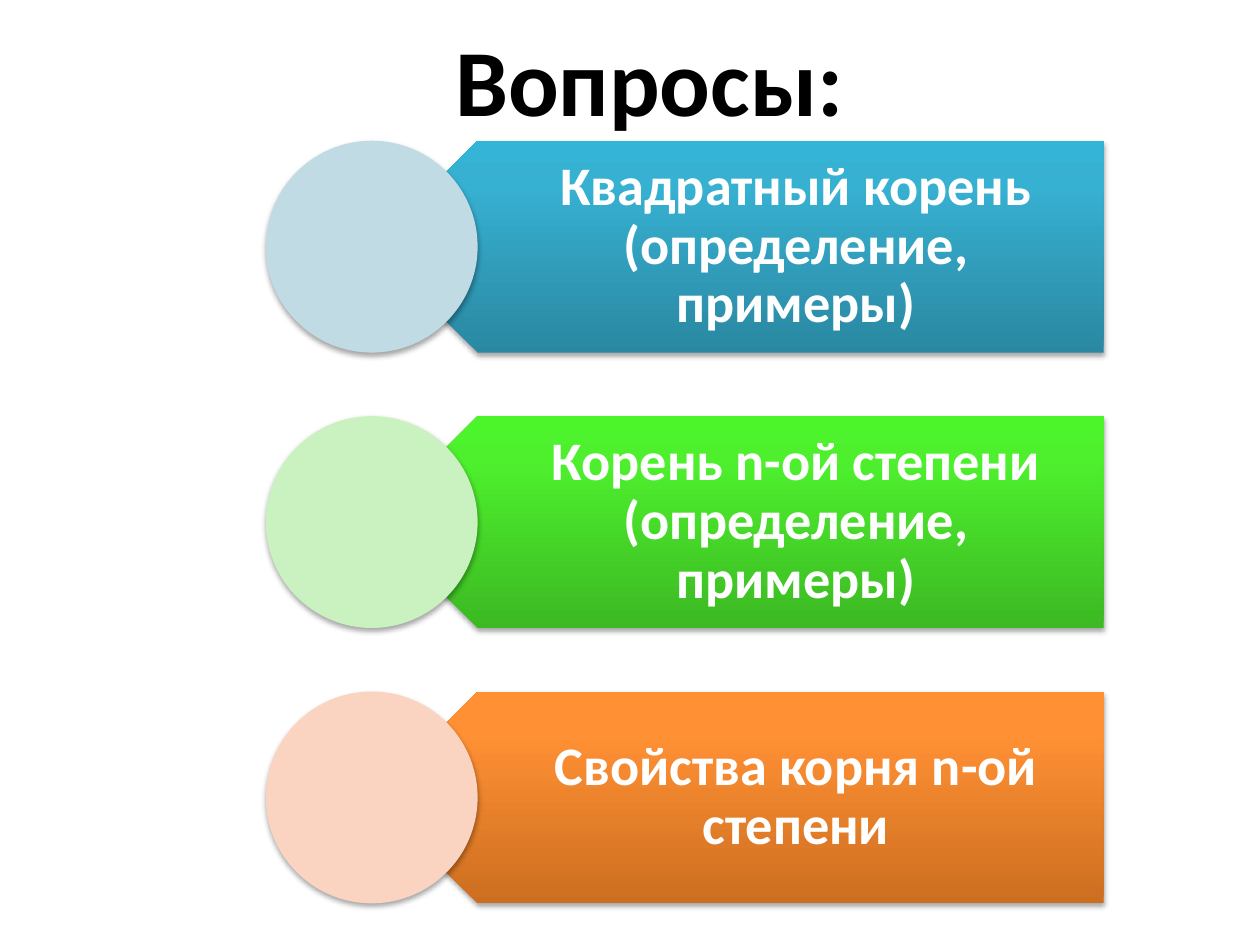
import pptx
import pptx.util
import pptx.oxml
import pptx.oxml.ns
import pptx.dml.color
import pptx.enum.shapes
import pptx.enum.text

WIDE, HIGH = 10, 7.5
FONT = "Calibri"
KIND = pptx.enum.shapes.MSO_SHAPE
NS = pptx.oxml.ns.nsdecls("a")
INCH = pptx.util.Inches

COLORS = {
    "title": "000000", "text": "FFFFFF", "shade": "000000",
    "blue low": "2A88A2", "blue mid": "37B1D2", "blue top": "34B4D6", "blue pale": "C1DBE5",
    "green low": "3CB923", "green mid": "4EF02E", "green top": "4CF52A", "green pale": "CAF1C0",
    "orange low": "CC6E20", "orange mid": "FF9034", "orange top": "FF9136", "orange pale": "FBD3C1",
}
ITEMS = [
    ("Квадратный корень (определение, примеры)", "blue"),
    ("Корень n-ой степени (определение, примеры)", "green"),
    ("Свойства корня n-ой степени", "orange"),
]


def paint(name):
    return pptx.dml.color.RGBColor.from_string(COLORS[name])


def write(parent, box, text, size, color, pad=None, space=1.0, after=0, anchor="TOP"):
    """Place a centred bold text in a box of left, top, width, height."""
    frame = parent.shapes.add_textbox(*map(INCH, box)).text_frame
    frame.word_wrap = True
    frame.vertical_anchor = getattr(pptx.enum.text.MSO_ANCHOR, anchor)
    if pad:
        (frame.margin_left, frame.margin_top,
         frame.margin_right, frame.margin_bottom) = map(INCH, pad)
    para = frame.paragraphs[0]
    para.alignment = pptx.enum.text.PP_ALIGN.CENTER
    para.line_spacing = space
    para.space_after = pptx.util.Pt(after)
    run = para.add_run()
    run.text = text
    run.font.name, run.font.size, run.font.bold = FONT, pptx.util.Pt(size), True
    run.font.color.rgb = paint(color)
    return frame


def draw(parent, kind, box):
    """Add an outline-free shape with a soft shadow below it."""
    shape = parent.shapes.add_shape(kind, *map(INCH, box))
    shape.line.fill.background()
    shape.shadow.inherit = False
    effect = shape._element.spPr.find(pptx.oxml.ns.qn("a:effectLst"))
    effect.append(pptx.oxml.parse_xml(
        f'<a:outerShdw {NS} blurRad="{pptx.util.Pt(3.1)}" dist="{pptx.util.Pt(1.8)}" '
        f'dir="5400000" rotWithShape="0"><a:srgbClr val="{COLORS["shade"]}">'
        '<a:alpha val="35000"/></a:srgbClr></a:outerShdw>'))
    return shape


def blend(shape, hue):
    """Fill with a gradient that runs upwards whatever the shape's rotation."""
    shape.fill.background()
    stops = "".join(
        f'<a:gs pos="{pos * 1000}"><a:srgbClr val="{COLORS[f"{hue} {part}"]}"/></a:gs>'
        for pos, part in ((0, "low"), (80, "mid"), (100, "top")))
    props = shape._element.spPr
    props.replace(props.find(pptx.oxml.ns.qn("a:noFill")), pptx.oxml.parse_xml(
        f'<a:gradFill {NS} rotWithShape="0"><a:gsLst>{stops}</a:gsLst>'
        '<a:lin ang="16200000" scaled="0"/></a:gradFill>'))


def row(parent, box, text, hue):
    left, top, width, side = box

    # Arrow bar, starting at the middle of the disc
    bar = draw(parent, KIND.PENTAGON, (left + side / 2, top, width - side / 2, side))
    bar.rotation = 180
    blend(bar, hue)

    # Label, clear of the arrow tip
    tip = side * 0.75
    write(parent, (left + tip, top, width - tip, side), text, 31, "text",
          pad=(0.74, 0.13, 0.24, 0.13), space=0.9, after=11, anchor="MIDDLE")

    # Disc
    disc = draw(parent, KIND.OVAL, (left, top, side, side))
    disc.fill.solid()
    disc.fill.fore_color.rgb = paint(f"{hue} pale")


def chart(slide, box):
    """Stack the rows in the box, with gaps of 0.3 of a row."""
    left, top, width, height = box
    gap = 0.3
    side = height / (len(ITEMS) + gap * (len(ITEMS) - 1))
    group = slide.shapes.add_group_shape()
    for i, (text, hue) in enumerate(ITEMS):
        row(group, (left, top + i * side * (1 + gap), width, side), text, hue)


def main():
    deck = pptx.Presentation()
    deck.slide_width, deck.slide_height = INCH(WIDE), INCH(HIGH)
    slide = deck.slides.add_slide(deck.slide_layouts[6])
    chart(slide, (WIDE * 0.211, HIGH * 0.149, WIDE * 0.665, HIGH * 0.807))
    title = write(slide, (WIDE * 0.24, HIGH * 0.017, WIDE * 0.551, HIGH * 0.135),
                  "Вопросы:", 54, "title")
    title.auto_size = pptx.enum.text.MSO_AUTO_SIZE.SHAPE_TO_FIT_TEXT
    deck.save("out.pptx")


if __name__ == "__main__":
    main()
